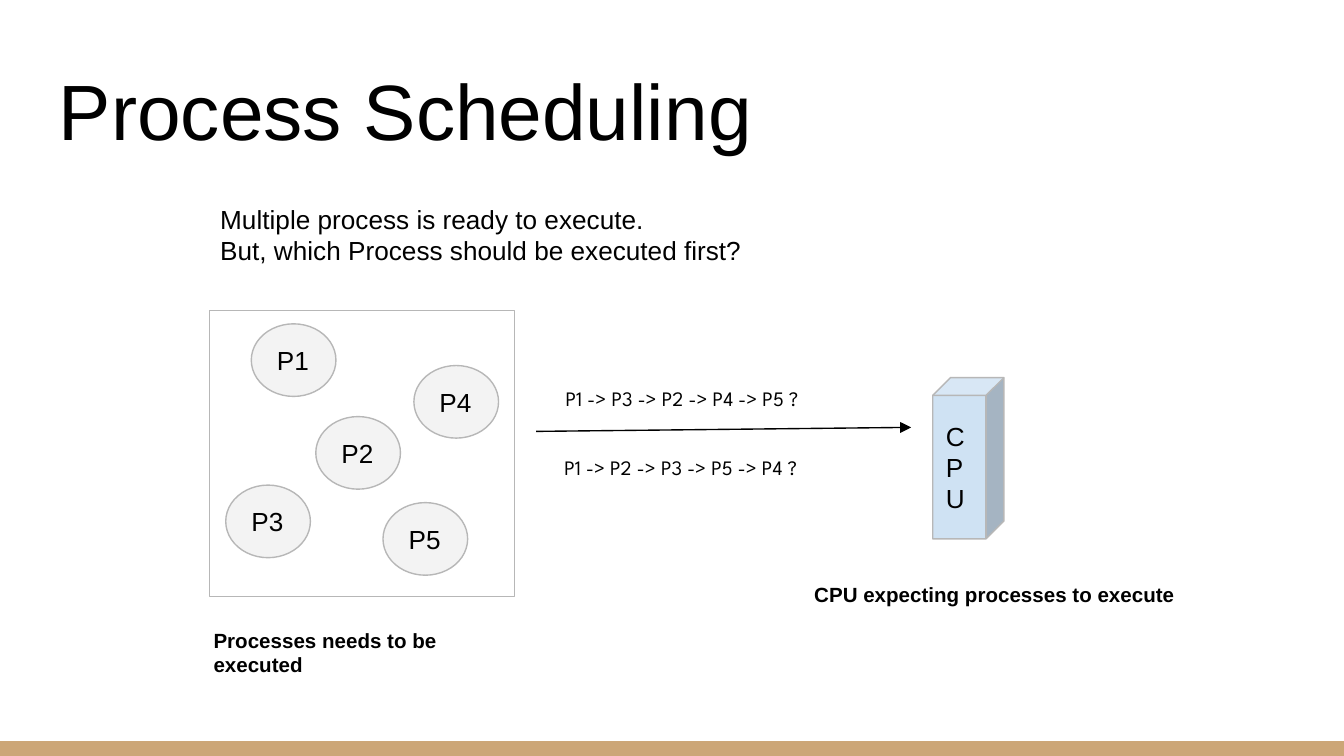
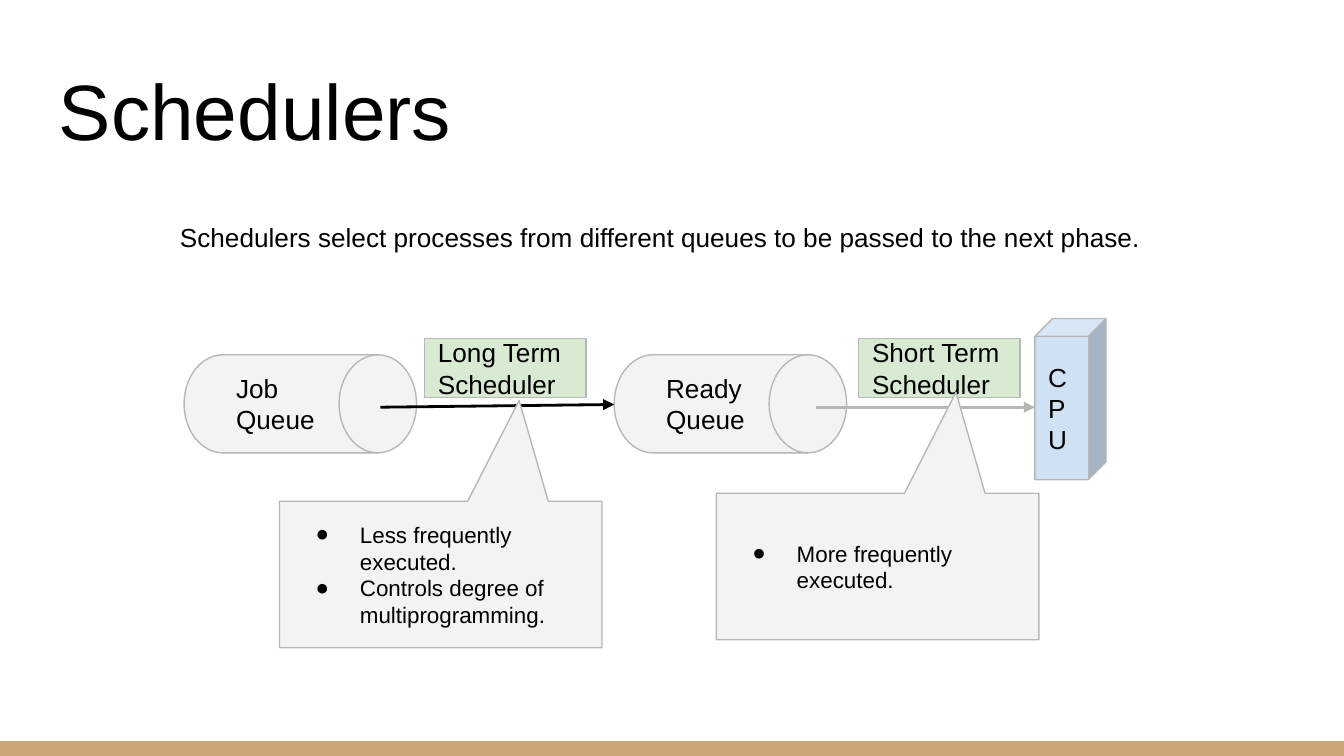
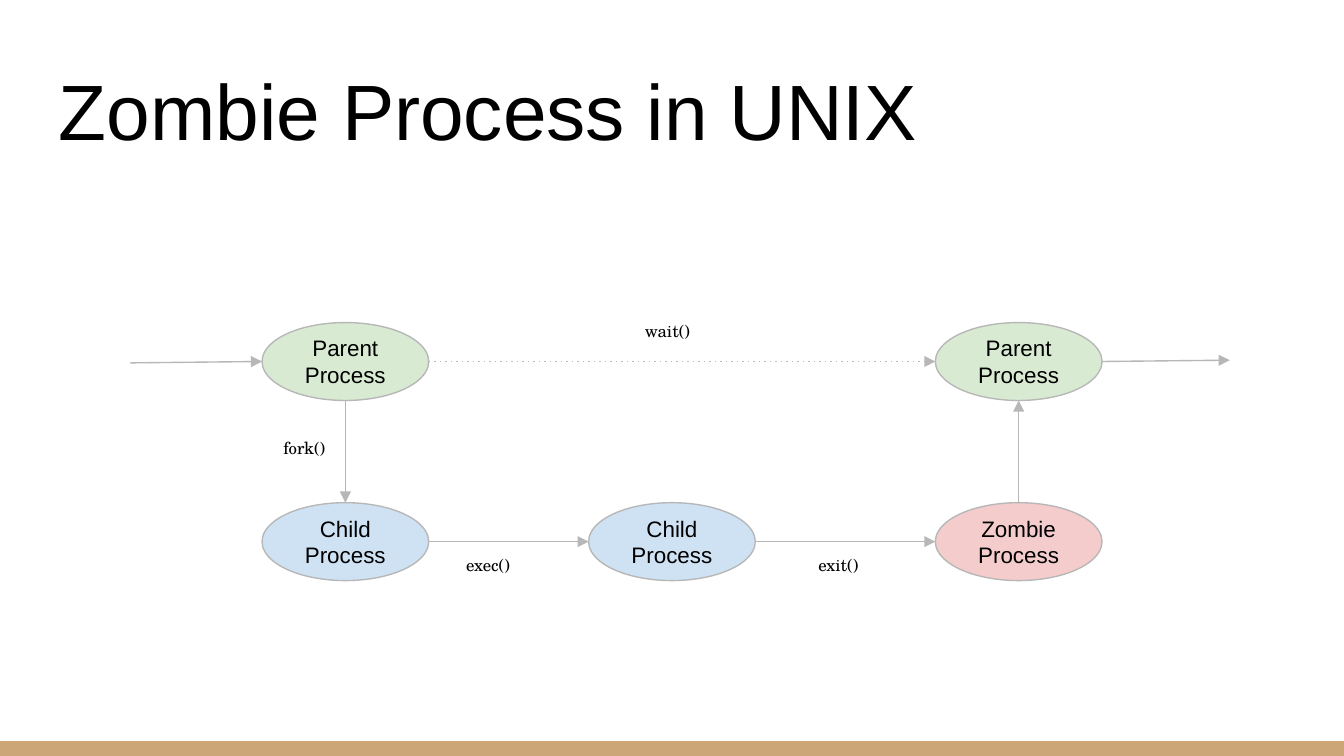
from dataclasses import dataclass
from typing import Optional

import lxml.etree
import pptx
import pptx.dml.color
import pptx.enum.shapes
import pptx.enum.text
import pptx.oxml.ns
import pptx.presentation
import pptx.slide
import pptx.text.text
import pptx.util

Inches = pptx.util.Inches
Pt = pptx.util.Pt
qn = pptx.oxml.ns.qn
Shape = pptx.enum.shapes.MSO_SHAPE
Align = pptx.enum.text.PP_ALIGN
Anchor = pptx.enum.text.MSO_ANCHOR

SLIDE_WIDTH = 10
SLIDE_HEIGHT = SLIDE_WIDTH * 9 / 16
BAND_HEIGHT = 0.11
BLACK = "000000"
TAN = "CCA677"
OUTLINE = "B7B7B7"
GRAY = "F3F3F3"
BLUE = "CFE2F3"
GREEN = "D9EAD3"
PINK = "F4CCCC"


@dataclass(frozen=True)
class TextStyle:
    size: float
    font: str = "Arial"
    bold: bool = False
    align: Align = Align.LEFT
    anchor: Anchor = Anchor.TOP
    bulleted: bool = False


TITLE = TextStyle(42, anchor=Anchor.BOTTOM)
BODY = TextStyle(14)
CAPTION = TextStyle(11, bold=True)
ORDERING = TextStyle(11, font="League Spartan")
SYSTEM_CALL = TextStyle(9, font="TeX Gyre Schola")
BLOCK_LABEL = TextStyle(14, anchor=Anchor.MIDDLE)
STATE_LABEL = TextStyle(12, align=Align.CENTER, anchor=Anchor.MIDDLE)
NOTE = TextStyle(12, anchor=Anchor.MIDDLE, bulleted=True)


@dataclass(frozen=True)
class Label:
    left: float
    top: float
    width: float
    height: float
    lines: tuple[str, ...]
    style: TextStyle


@dataclass(frozen=True)
class Block:
    kind: Shape
    left: float
    top: float
    width: float
    height: float
    lines: tuple[str, ...] = ()
    fill: Optional[str] = GRAY
    outline: Optional[str] = OUTLINE
    style: TextStyle = BLOCK_LABEL
    adjustments: tuple[float, ...] = ()


@dataclass(frozen=True)
class Arrow:
    start: tuple[float, float]
    end: tuple[float, float]
    color: str = OUTLINE
    weight: float = 0.75
    dash: str = "solid"


def rgb(color: str) -> pptx.dml.color.RGBColor:
    return pptx.dml.color.RGBColor.from_string(color)


def set_attributes(target: object, values: dict[str, object]) -> None:
    for name, value in values.items():
        setattr(target, name, value)


def add_bullet(paragraph: pptx.text.text._Paragraph, style: TextStyle) -> None:
    properties = paragraph._p.get_or_add_pPr()
    properties.set("marL", str(Inches(0.5)))
    properties.set("indent", str(Inches(-0.33)))
    bullet_color = lxml.etree.SubElement(properties, qn("a:buClr"))
    lxml.etree.SubElement(bullet_color, qn("a:srgbClr"), val=BLACK)
    lxml.etree.SubElement(properties, qn("a:buFont"), typeface=style.font)
    lxml.etree.SubElement(properties, qn("a:buChar"), char="●")


def write_lines(frame: pptx.text.text.TextFrame, lines: tuple[str, ...], style: TextStyle) -> None:
    margins = dict.fromkeys(
        ("margin_left", "margin_top", "margin_right", "margin_bottom"), Inches(0.1)
    )
    set_attributes(frame, {"word_wrap": True, "vertical_anchor": style.anchor, **margins})
    for index, line in enumerate(lines):
        paragraph = frame.add_paragraph() if index else frame.paragraphs[0]
        paragraph.alignment = style.align
        if style.bulleted:
            add_bullet(paragraph, style)
        run = paragraph.add_run()
        run.text = line
        set_attributes(
            run.font, {"name": style.font, "size": Pt(style.size), "bold": style.bold}
        )
        run.font.color.rgb = rgb(BLACK)


def draw_label(slide: pptx.slide.Slide, label: Label) -> None:
    box = slide.shapes.add_textbox(
        Inches(label.left), Inches(label.top), Inches(label.width), Inches(label.height)
    )
    write_lines(box.text_frame, label.lines, label.style)


def draw_block(slide: pptx.slide.Slide, block: Block) -> None:
    shape = slide.shapes.add_shape(
        block.kind,
        Inches(block.left), Inches(block.top), Inches(block.width), Inches(block.height),
    )
    shape.shadow.inherit = False
    for index, adjustment in enumerate(block.adjustments):
        shape.adjustments[index] = adjustment
    if block.fill:
        shape.fill.solid()
        shape.fill.fore_color.rgb = rgb(block.fill)
    else:
        shape.fill.background()
    if block.outline:
        shape.line.color.rgb = rgb(block.outline)
        shape.line.width = Pt(0.75)
    else:
        shape.line.fill.background()
    if block.lines:
        write_lines(shape.text_frame, block.lines, block.style)


def draw_arrow(slide: pptx.slide.Slide, arrow: Arrow) -> None:
    connector = slide.shapes.add_connector(
        pptx.enum.shapes.MSO_CONNECTOR.STRAIGHT,
        *(Inches(value) for value in arrow.start + arrow.end),
    )
    connector.line.color.rgb = rgb(arrow.color)
    connector.line.width = Pt(arrow.weight)
    line = connector.line._get_or_add_ln()
    lxml.etree.SubElement(line, qn("a:prstDash"), val=arrow.dash)
    lxml.etree.SubElement(line, qn("a:tailEnd"), type="triangle")
    lxml.etree.SubElement(connector._element.spPr, qn("a:effectLst"))


DRAW = {Label: draw_label, Block: draw_block, Arrow: draw_arrow}


def add_slide(
    deck: pptx.presentation.Presentation, title: str, parts: list[Label | Block | Arrow]
) -> None:
    slide = deck.slides.add_slide(deck.slide_layouts[6])
    band = Block(
        Shape.RECTANGLE, 0, SLIDE_HEIGHT - BAND_HEIGHT, SLIDE_WIDTH, BAND_HEIGHT,
        fill=TAN, outline=None,
    )
    heading = Label(0.34, 0.35, 9.32, 0.91, (title,), TITLE)
    for part in [band, heading, *parts]:
        DRAW[type(part)](slide, part)


def cpu(left: float, top: float) -> Block:
    return Block(Shape.CUBE, left, top, 0.53, 1.2, ("CPU",), BLUE, adjustments=(0.25,))


def process(name: str, left: float, top: float) -> Block:
    return Block(Shape.OVAL, left, top, 0.63, 0.54, (name,))


def queue(name: str, left: float) -> Block:
    return Block(Shape.FLOWCHART_DIRECT_ACCESS_STORAGE, left, 2.64, 1.73, 0.73, (name,))


def scheduler(name: str, left: float) -> Block:
    return Block(Shape.FLOWCHART_PROCESS, left, 2.52, 1.2, 0.44, (name,), GREEN)


def scheduler_note(left: float, top: float, *lines: str) -> Block:
    return Block(
        Shape.RECTANGULAR_CALLOUT, left, top, 2.4, 1.09, lines,
        style=NOTE, adjustments=(0.243, -1.189),
    )


def system_call(name: str, left: float, top: float) -> Label:
    return Label(left, top, 0.59, 0.4, (name,), SYSTEM_CALL)


def process_scheduling() -> list[Label | Block | Arrow]:
    processes = {
        "P1": (1.87, 2.41),
        "P2": (2.35, 3.1),
        "P3": (1.68, 3.61),
        "P4": (3.08, 2.72),
        "P5": (2.85, 3.74),
    }
    question = (
        "Multiple process is ready to execute.",
        "But, which Process should be executed first?",
    )
    return [
        Label(1.54, 1.41, 6.02, 0.64, question, BODY),
        Arrow((3.99, 3.21), (6.78, 3.18), BLACK),
        Label(4.11, 2.78, 2.41, 0.33, ("P1 -> P3 -> P2 -> P4 -> P5 ?",), ORDERING),
        Label(4.1, 3.29, 2.41, 0.33, ("P1 -> P2 -> P3 -> P5 -> P4 ?",), ORDERING),
        Block(Shape.RECTANGLE, 1.56, 2.31, 2.27, 2.13, fill=None),
        *(process(name, left, top) for name, (left, top) in processes.items()),
        Label(1.49, 4.57, 2.55, 0.29, ("Processes needs to be executed",), CAPTION),
        cpu(6.94, 2.81),
        Label(5.96, 4.24, 2.96, 0.29, ("CPU expecting processes to execute",), CAPTION),
    ]


def schedulers() -> list[Label | Block | Arrow]:
    summary = (
        "Schedulers select processes from different queues to be passed to the next phase."
    )
    return [
        Label(1.24, 1.55, 7.52, 0.54, (summary,), BODY),
        queue("Job Queue", 1.37),
        cpu(7.7, 2.37),
        queue("Ready Queue", 4.57),
        Arrow((2.83, 3.03), (4.57, 3.01), BLACK, 1.5),
        Arrow((6.07, 3.03), (7.7, 3.03), weight=1.5),
        scheduler("Long Term Scheduler", 3.16),
        scheduler("Short Term Scheduler", 6.39),
        scheduler_note(5.33, 3.67, "More frequently executed."),
        scheduler_note(
            2.08, 3.73, "Less frequently executed.", "Controls degree of multiprogramming."
        ),
    ]


def zombie_process() -> list[Label | Block | Arrow]:
    width, height = 1.24, 0.58
    first, second, third = 1.95, 4.38, 6.96
    parent_top, child_top = 2.4, 3.74
    parent_middle, child_middle = parent_top + height / 2, child_top + height / 2
    parent_bottom = parent_top + height
    fork_x, reap_x = first + width / 2, third + width / 2
    call_top = child_middle + 0.02
    states = [
        ("Child Process", first, child_top, BLUE),
        ("Child Process", second, child_top, BLUE),
        ("Zombie Process", third, child_top, PINK),
        ("Parent Process", third, parent_top, GREEN),
        ("Parent Process", first, parent_top, GREEN),
    ]
    return [
        *(
            Block(Shape.OVAL, left, top, width, height, (name,), fill, style=STATE_LABEL)
            for name, left, top, fill in states
        ),
        Arrow((0.97, 2.7), (first, parent_middle)),
        Arrow((third + width, parent_middle), (9.15, 2.68)),
        Arrow((reap_x, child_top), (reap_x, parent_bottom)),
        Arrow((fork_x, parent_bottom), (fork_x, child_top)),
        system_call("fork()", 2.01, 3.18),
        Arrow((first + width, child_middle), (second, child_middle)),
        system_call("exec()", 3.37, call_top),
        Arrow((second + width, child_middle), (third, child_middle)),
        system_call("exit()", 5.99, call_top),
        Arrow((first + width, parent_middle), (third, parent_middle), dash="dot"),
        system_call("wait()", 4.7, 2.31),
    ]


def main() -> None:
    deck = pptx.Presentation()
    deck.slide_width = Inches(SLIDE_WIDTH)
    deck.slide_height = Inches(SLIDE_HEIGHT)
    add_slide(deck, "Process Scheduling", process_scheduling())
    add_slide(deck, "Schedulers", schedulers())
    add_slide(deck, "Zombie Process in UNIX", zombie_process())
    deck.save("out.pptx")


if __name__ == "__main__":
    main()
